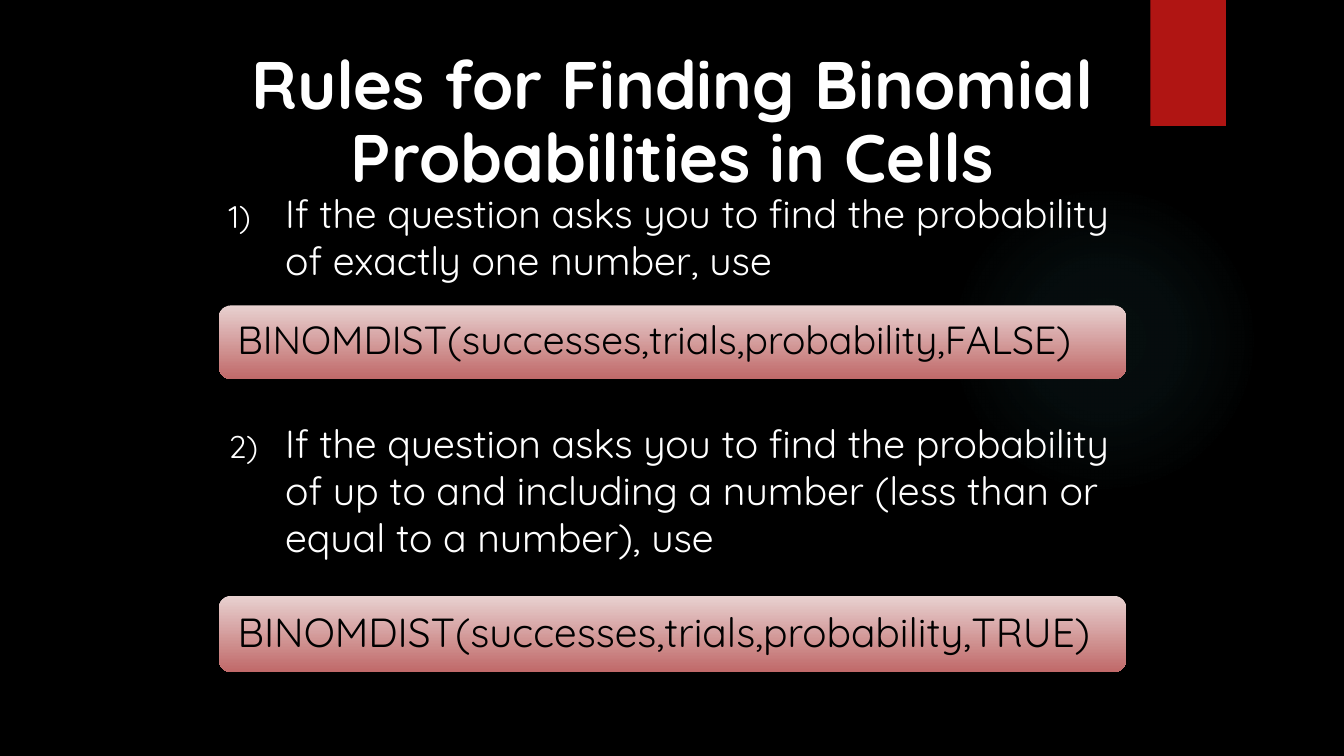
from lxml import etree
from pptx import Presentation
from pptx.dml.color import RGBColor
from pptx.enum.shapes import MSO_SHAPE
from pptx.enum.text import MSO_ANCHOR, MSO_AUTO_SIZE, PP_ALIGN
from pptx.oxml import parse_xml
from pptx.oxml.ns import nsdecls, qn
from pptx.util import Inches, Pt

ELLIPSE, RECT, ROUNDED = MSO_SHAPE.OVAL, MSO_SHAPE.RECTANGLE, MSO_SHAPE.ROUNDED_RECTANGLE
TOP, MIDDLE = MSO_ANCHOR.TOP, MSO_ANCHOR.MIDDLE
LEFT, CENTER = PP_ALIGN.LEFT, PP_ALIGN.CENTER
NO_FIT = MSO_AUTO_SIZE.NONE

COLORS = {
    "background": "000000",
    "text": "FFFFFF",
    "formula": "000000",
    "ribbon": "B01513",
    "glow": "50B9C1",
    "bar_top": "E8D1D0",
    "bar_bottom": "C06969",
}
FONT = "Quicksand"
RULES = [
    {
        "question": "If the question asks you to find the probability of exactly one number, use",
        "formula": "BINOMDIST(successes,trials,probability,FALSE)",
        "question_box": (2.17, 1.83, 9.3, 1.15),
        "bar_box": (2.17, 3.03, 9, 0.73),
        "size": 28,
    },
    {
        "question": "If the question asks you to find the probability of up to and including "
                    "a number (less than or equal to a number), use",
        "formula": "BINOMDIST(successes,trials,probability,TRUE)",
        "question_box": (2.17, 4.11, 9.3, 1.65),
        "bar_box": (2.17, 5.91, 9, 0.76),
        "size": 29,
    },
]


def rgb(name):
    """Return the named colour."""
    return RGBColor.from_string(COLORS[name])


def inches(box):
    """Turn a box in inches into lengths."""
    return [Inches(value) for value in box]


def add_plain_shape(slide, kind, box):
    """Add a preset shape without line or shadow."""
    shape = slide.shapes.add_shape(kind, *inches(box))
    shape.shadow.inherit = False
    shape.line.fill.background()
    return shape


def set_gradient(shape, stops, direction):
    """Fill a shape with stops of position, colour name and opacity in percent."""
    gradient = parse_xml(
        f'<a:gradFill {nsdecls("a")} rotWithShape="1"><a:gsLst/>{direction}</a:gradFill>'
    )
    for position, name, opacity in stops:
        stop = etree.SubElement(gradient[0], qn("a:gs"), pos=str(position * 1000))
        color = etree.SubElement(stop, qn("a:srgbClr"), val=COLORS[name])
        if opacity < 100:
            etree.SubElement(color, qn("a:alpha"), val=str(opacity * 1000))
    shape.fill.background()
    properties = shape.fill._xPr
    properties.replace(properties.find(qn("a:noFill")), gradient)


def write_text(shape, text, size, color, inset, anchor, align, bold=False, spacing=1.0):
    """Write one formatted paragraph and return it."""
    frame = shape.text_frame
    margins = dict(zip(("margin_left", "margin_top", "margin_right", "margin_bottom"),
                       inches(inset)))
    settings = {"word_wrap": True, "auto_size": NO_FIT, "vertical_anchor": anchor, **margins}
    for key, value in settings.items():
        setattr(frame, key, value)
    paragraph = frame.paragraphs[0]
    paragraph.alignment, paragraph.line_spacing = align, spacing
    run = paragraph.add_run()
    run.text = text
    for key, value in {"name": FONT, "size": Pt(size), "bold": bold}.items():
        setattr(run.font, key, value)
    run.font.color.rgb = rgb(color)
    return paragraph


def add_backdrop(slide, glow_box, ribbon_box):
    """Add the black background, the faint glow and the red ribbon."""
    slide.background.fill.solid()
    slide.background.fill.fore_color.rgb = rgb("background")
    glow = add_plain_shape(slide, ELLIPSE, glow_box)
    set_gradient(
        glow,
        [(0, "glow", 7), (36, "glow", 6), (69, "glow", 0)],
        '<a:path path="circle"><a:fillToRect l="50000" t="50000" r="50000" b="50000"/></a:path>',
    )
    ribbon = add_plain_shape(slide, RECT, ribbon_box)
    ribbon.fill.solid()
    ribbon.fill.fore_color.rgb = rgb("ribbon")


def place_title(slide, text, box):
    """Move and format the title placeholder."""
    title = slide.shapes.title
    title.left, title.top, title.width, title.height = inches(box)
    write_text(title, text, 48, "text", (0.18,) * 4, TOP, CENTER, bold=True, spacing=0.9)


def add_question(slide, number, text, box):
    """Add a numbered question with a hanging indent."""
    question = slide.shapes.add_textbox(*inches(box))
    paragraph = write_text(question, text, 28, "text", (0.1, 0.05, 0.1, 0.05), TOP, LEFT)
    properties = paragraph._p.get_or_add_pPr()
    properties.set("marL", str(Inches(0.56)))
    properties.set("indent", str(Inches(-0.56)))
    bullet_color = etree.SubElement(properties, qn("a:buClr"))
    etree.SubElement(bullet_color, qn("a:srgbClr"), val=COLORS["text"])
    etree.SubElement(properties, qn("a:buSzPct"), val="80000")
    etree.SubElement(properties, qn("a:buFont"), typeface=FONT)
    etree.SubElement(properties, qn("a:buAutoNum"), type="arabicParenR", startAt=str(number))


def add_formula_bar(slide, formula, size, box):
    """Add a rounded gradient bar holding a formula."""
    bar = add_plain_shape(slide, ROUNDED, box)
    set_gradient(bar, [(0, "bar_top", 100), (100, "bar_bottom", 100)],
                 '<a:lin ang="5400000" scaled="0"/>')
    write_text(bar, formula, size, "formula", (0.15, 0.12, 0.15, 0.12), MIDDLE, LEFT,
               spacing=0.9)


def main():
    """Build and save the slide."""
    deck = Presentation()
    deck.slide_width, deck.slide_height = Inches(13.33), Inches(7.5)
    slide = deck.slides.add_slide(deck.slide_layouts[5])
    add_backdrop(slide, (9.41, 1.83, 3.08, 3.08), (11.41, 0, 0.75, 1.25))
    place_title(slide, "Rules for Finding Binomial Probabilities in Cells",
                (2.24, 0.33, 8.86, 1.28))
    for number, rule in enumerate(RULES, start=1):
        add_question(slide, number, rule["question"], rule["question_box"])
        add_formula_bar(slide, rule["formula"], rule["size"], rule["bar_box"])
    deck.save("out.pptx")


if __name__ == "__main__":
    main()
